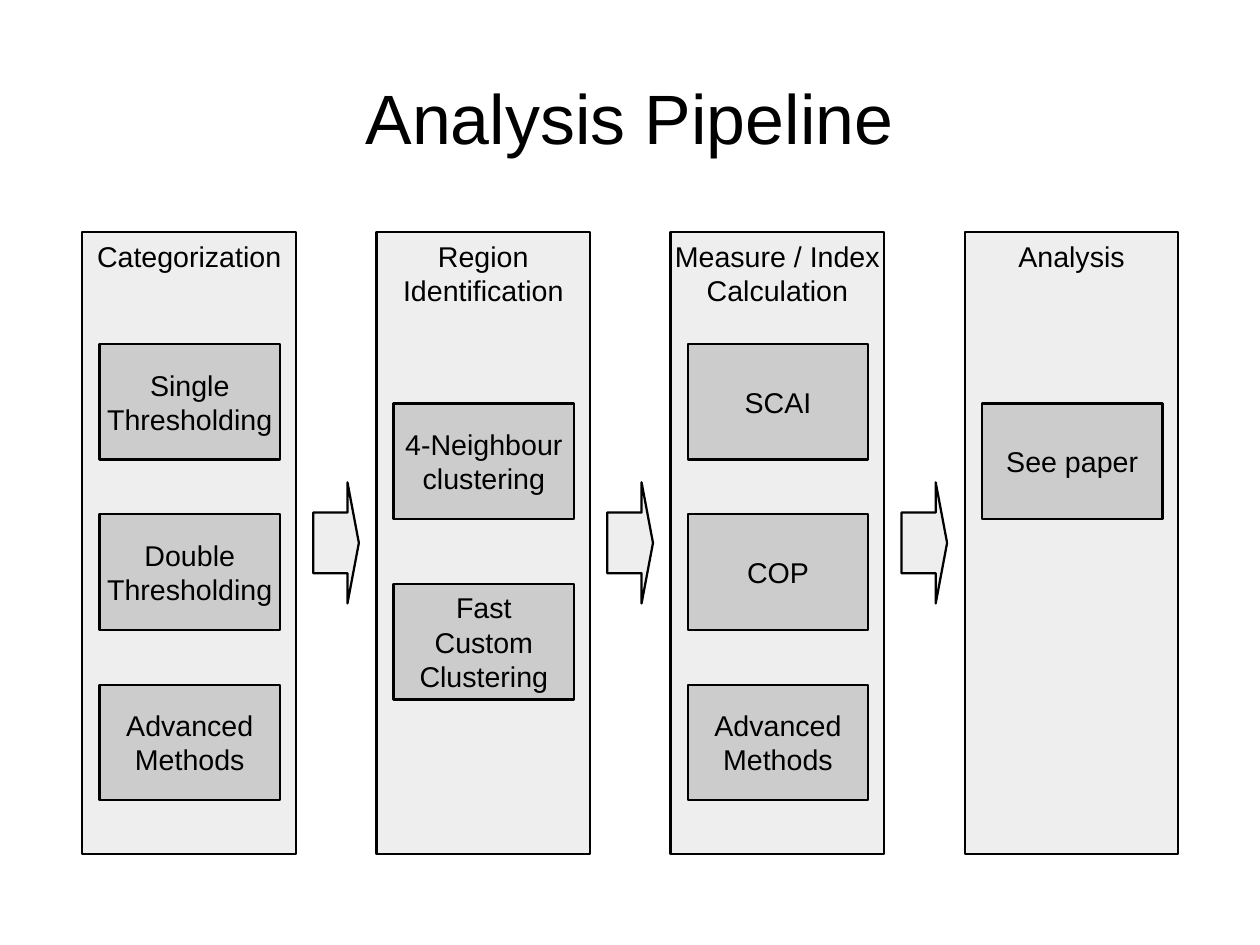
import dataclasses

import pptx
import pptx.dml.color
import pptx.enum.shapes
import pptx.enum.text
import pptx.shapes.autoshape
import pptx.text.text
import pptx.util

Inches = pptx.util.Inches
Shape = pptx.enum.shapes.MSO_SHAPE
Anchor = pptx.enum.text.MSO_ANCHOR

BLACK = pptx.dml.color.RGBColor(0x00, 0x00, 0x00)
STAGE_GREY = pptx.dml.color.RGBColor(0xEE, 0xEE, 0xEE)
METHOD_GREY = pptx.dml.color.RGBColor(0xCC, 0xCC, 0xCC)

CM_PER_INCH = 2.54
STAGE_LEFT, STAGE_TOP, STAGE_WIDTH, STAGE_HEIGHT = 0.72, 2.03, 1.87, 5.44
LAST_STAGE_LEFT = 8.44
ARROW_OFFSET, ARROW_TOP, ARROW_WIDTH, ARROW_HEIGHT = 2.02, 4.22, 0.4, 1.06
METHOD_OFFSET, METHOD_WIDTH, METHOD_HEIGHT = 0.15, 1.58, 1.01

TEXT_INSETS = {
    "margin_left": Inches(0.11),
    "margin_right": Inches(0.11),
    "margin_top": Inches(0.06),
    "margin_bottom": Inches(0.06),
    "word_wrap": False,
}
TITLE_FRAME = {
    "margin_left": 0,
    "margin_right": 0,
    "margin_top": 0,
    "margin_bottom": 0,
    "word_wrap": True,
    "vertical_anchor": Anchor.MIDDLE,
}
TITLE_PLACE = {
    "left": Inches(0.55),
    "top": Inches(0.33),
    "width": Inches(9.92),
    "height": Inches(1.38),
}


@dataclasses.dataclass(frozen=True)
class Stage:
    heading: str
    methods: tuple[str, ...]
    first_top: float
    spacing: float


STAGES = (
    Stage("Categorization",
          ("Single\nThresholding", "Double\nThresholding", "Advanced\nMethods"), 3.01, 1.49),
    Stage("Region\nIdentification",
          ("4-Neighbour\nclustering", "Fast\nCustom\nClustering"), 3.53, 1.58),
    Stage("Measure / Index\nCalculation", ("SCAI", "COP", "Advanced\nMethods"), 3.01, 1.49),
    Stage("Analysis", ("See paper",), 3.53, 1.58),
)


def apply_format(target: object, values: dict[str, object]) -> None:
    for name, value in values.items():
        setattr(target, name, value)


def write_text(frame: pptx.text.text.TextFrame, text: str, size: int,
               frame_format: dict[str, object]) -> None:
    frame.text = text
    apply_format(frame, frame_format)
    for paragraph in frame.paragraphs:
        paragraph.alignment = pptx.enum.text.PP_ALIGN.CENTER
        for run in paragraph.runs:
            apply_format(run.font, {"name": "Arial", "size": pptx.util.Pt(size)})
            run.font.color.rgb = BLACK


def draw_outlined(kind: Shape, left: float, top: float, width: float, height: float,
                  fill: pptx.dml.color.RGBColor) -> pptx.shapes.autoshape.Shape:
    outlined = slide.shapes.add_shape(
        kind, Inches(left), Inches(top), Inches(width), Inches(height))
    outlined.shadow.inherit = False
    outlined.fill.solid()
    outlined.fill.fore_color.rgb = fill
    outlined.line.color.rgb = BLACK
    outlined.line.width = pptx.util.Pt(1.42)
    return outlined


def draw_stage(stage: Stage, left: float) -> None:
    column = draw_outlined(Shape.RECTANGLE, left, STAGE_TOP, STAGE_WIDTH, STAGE_HEIGHT, STAGE_GREY)
    write_text(column.text_frame, stage.heading, 18,
               TEXT_INSETS | {"vertical_anchor": Anchor.TOP})


def draw_arrow(stage_left: float) -> None:
    arrow = draw_outlined(Shape.RIGHT_ARROW, stage_left + ARROW_OFFSET, ARROW_TOP,
                          ARROW_WIDTH, ARROW_HEIGHT, STAGE_GREY)
    arrow.adjustments[0] = 0.5
    arrow.adjustments[1] = 0.25


def draw_methods(stage: Stage, stage_left: float) -> None:
    for row, label in enumerate(stage.methods):
        method = draw_outlined(Shape.RECTANGLE, stage_left + METHOD_OFFSET,
                               stage.first_top + row * stage.spacing,
                               METHOD_WIDTH, METHOD_HEIGHT, METHOD_GREY)
        write_text(method.text_frame, label, 18,
                   TEXT_INSETS | {"vertical_anchor": Anchor.MIDDLE})


presentation = pptx.Presentation()
presentation.slide_width = Inches(28 / CM_PER_INCH)
presentation.slide_height = Inches(21 / CM_PER_INCH)
slide = presentation.slides.add_slide(presentation.slide_layouts.get_by_name("Title Only"))

title = slide.shapes.title
apply_format(title, TITLE_PLACE)
write_text(title.text_frame, "Analysis Pipeline", 44, TITLE_FRAME)

stage_pitch = (LAST_STAGE_LEFT - STAGE_LEFT) / (len(STAGES) - 1)
stage_lefts = [STAGE_LEFT + index * stage_pitch for index in range(len(STAGES))]

for stage, left in zip(STAGES, stage_lefts):
    draw_stage(stage, left)
for left in stage_lefts[:-1]:
    draw_arrow(left)
for stage, left in zip(STAGES, stage_lefts):
    draw_methods(stage, left)

presentation.save("out.pptx")
